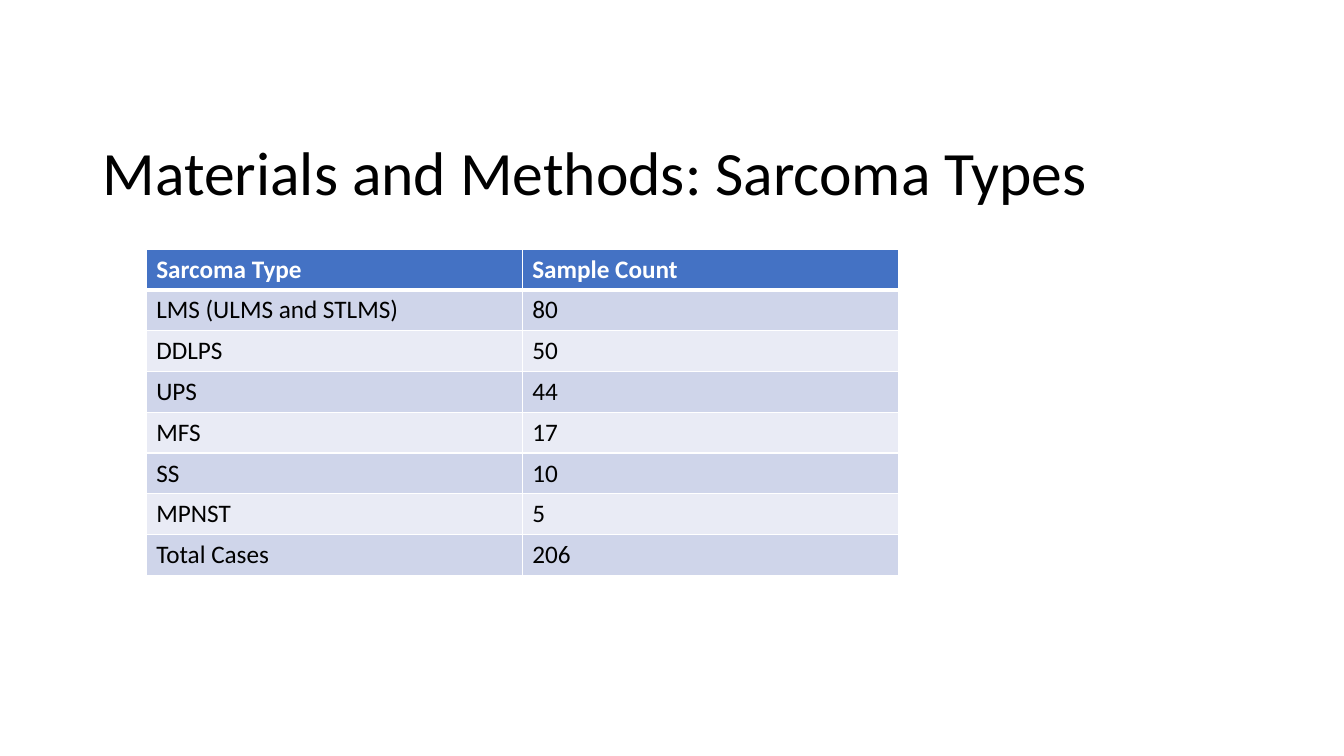
from lxml import etree
from pptx import Presentation
from pptx.dml.color import RGBColor
from pptx.enum import text
from pptx.oxml import ns
from pptx.util import Inches, Pt

COLOURS = {
    "header": "4472C4",
    "odd": "CFD5EA",
    "even": "E9EBF5",
    "light": "FFFFFF",
    "dark": "000000",
}
FONT = "Calibri"
TITLE = "Materials and Methods: Sarcoma Types"
SAMPLES = [
    ("Sarcoma Type", "Sample Count"),
    ("LMS (ULMS and STLMS)", "80"),
    ("DDLPS", "50"),
    ("UPS", "44"),
    ("MFS", "17"),
    ("SS", "10"),
    ("MPNST", "5"),
    ("Total Cases", "206"),
]


def colour(name):
    return RGBColor.from_string(COLOURS[name])


def write(frame, words, size, shade, bold=False):
    frame.text = words
    font = frame.paragraphs[0].runs[0].font
    font.name = FONT
    font.size = Pt(size)
    font.bold = bold
    font.color.rgb = colour(shade)


def add_title(page):
    box = page.shapes.add_textbox(Inches(0.92), Inches(1.02), Inches(11.5), Inches(1.45))
    frame = box.text_frame
    frame.word_wrap = True
    frame.vertical_anchor = text.MSO_ANCHOR.MIDDLE
    write(frame, TITLE, 44, "dark")
    frame.paragraphs[0].line_spacing = 0.9


def set_borders(cell, widths):
    properties = cell._tc.get_or_add_tcPr()
    for index, (side, width) in enumerate(widths.items()):
        line = etree.Element(ns.qn(f"a:ln{side}"), w=str(Pt(width)))
        fill = etree.SubElement(line, ns.qn("a:solidFill"))
        etree.SubElement(fill, ns.qn("a:srgbClr"), val=COLOURS["light"])
        properties.insert(index, line)


def style_cell(cell, words, row):
    header = row == 0
    shade = "header" if header else "odd" if row % 2 else "even"
    write(cell.text_frame, words, 18, "light" if header else "dark", header)
    cell.fill.solid()
    cell.fill.fore_color.rgb = colour(shade)
    set_borders(cell, {"L": 1, "R": 1, "T": 3 if row == 1 else 1, "B": 3 if header else 1})


def add_sample_table(page):
    height = Inches(0.405)
    frame = page.shapes.add_table(
        len(SAMPLES), 2, Inches(1.45), Inches(2.47), Inches(7.46), height * len(SAMPLES)
    )
    for row, values in enumerate(SAMPLES):
        for column, words in enumerate(values):
            style_cell(frame.table.cell(row, column), words, row)


def main():
    deck = Presentation()
    deck.slide_width = Inches(13.33)
    deck.slide_height = Inches(7.5)
    page = deck.slides.add_slide(deck.slide_layouts[6])
    add_title(page)
    add_sample_table(page)
    deck.save("out.pptx")


if __name__ == "__main__":
    main()
